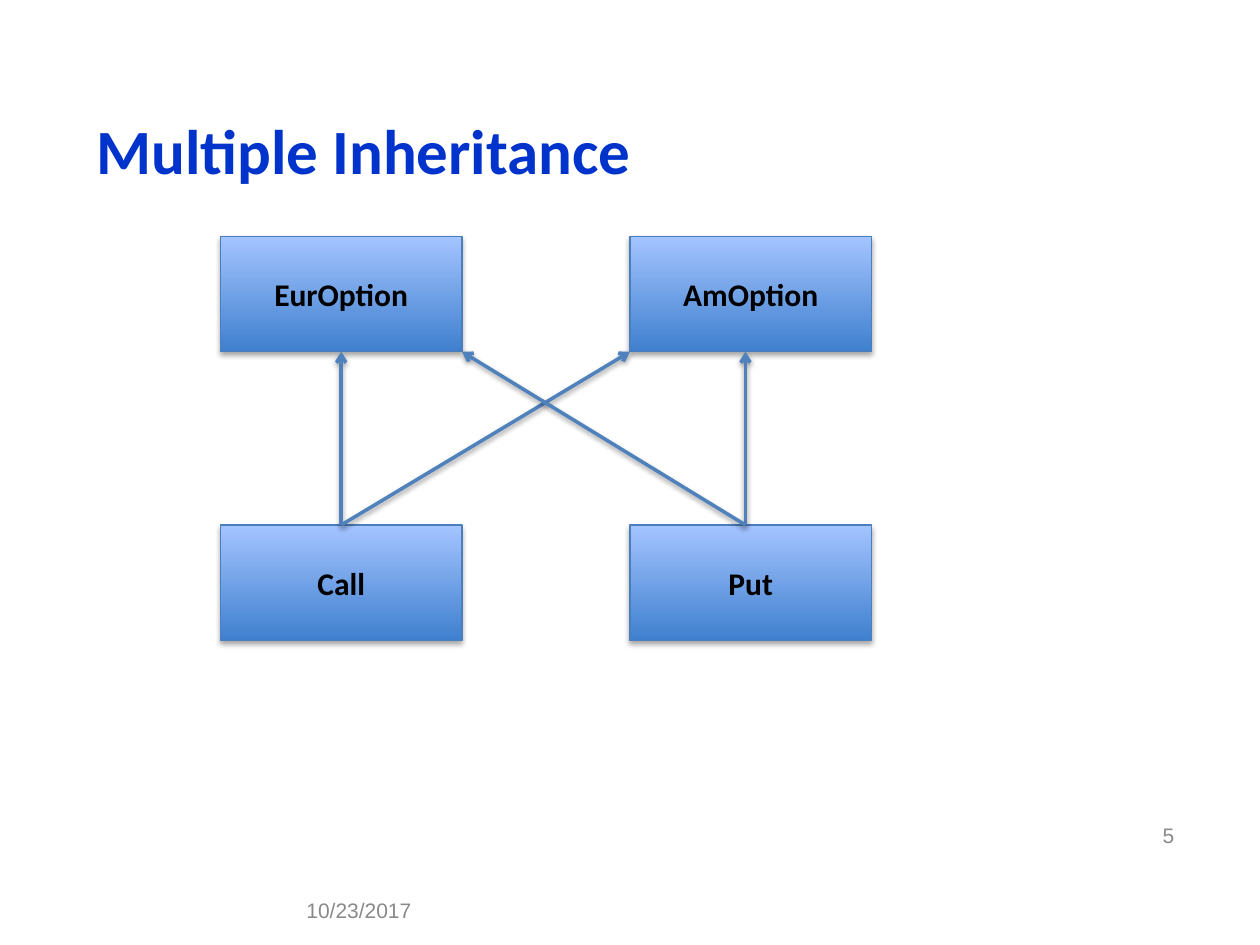
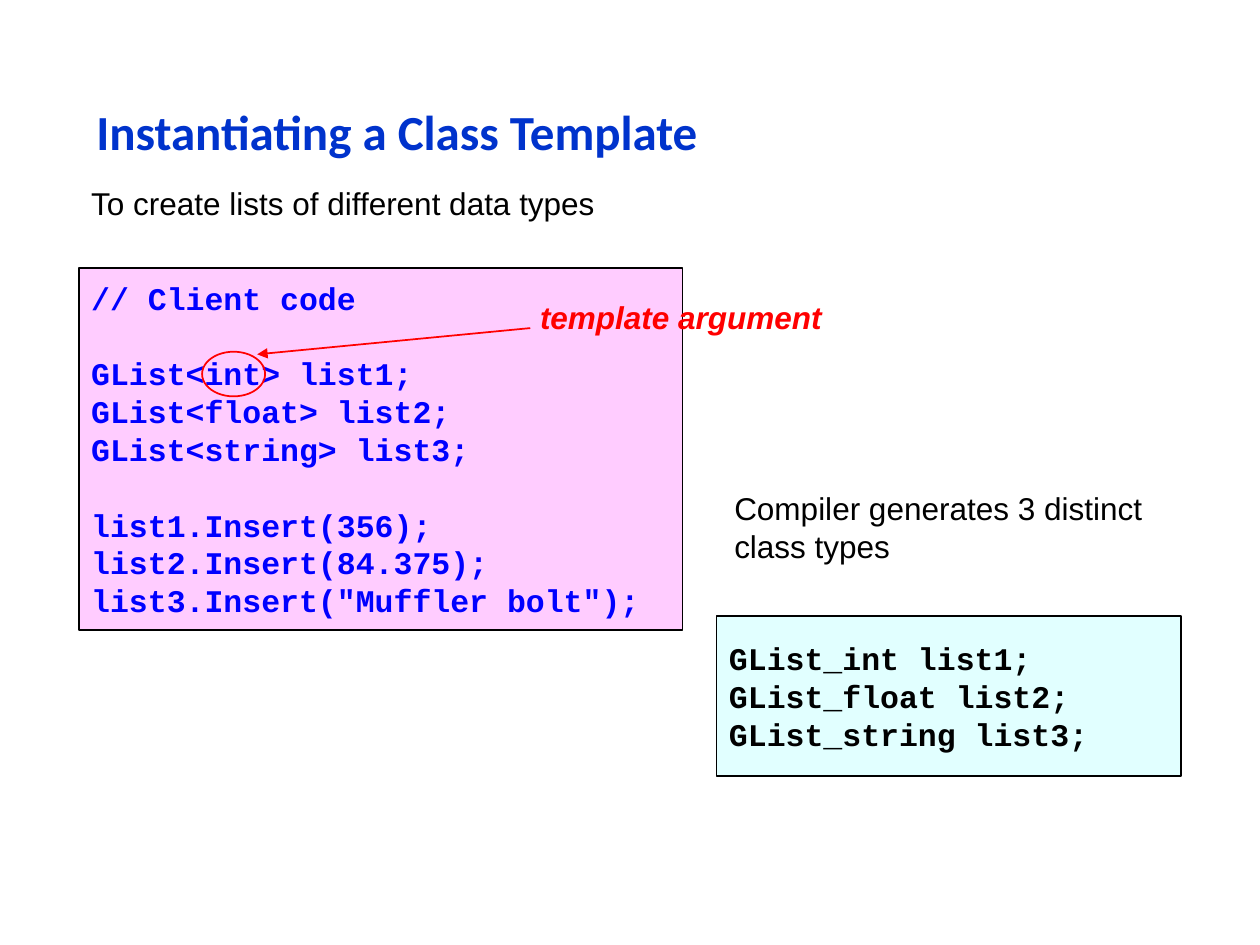
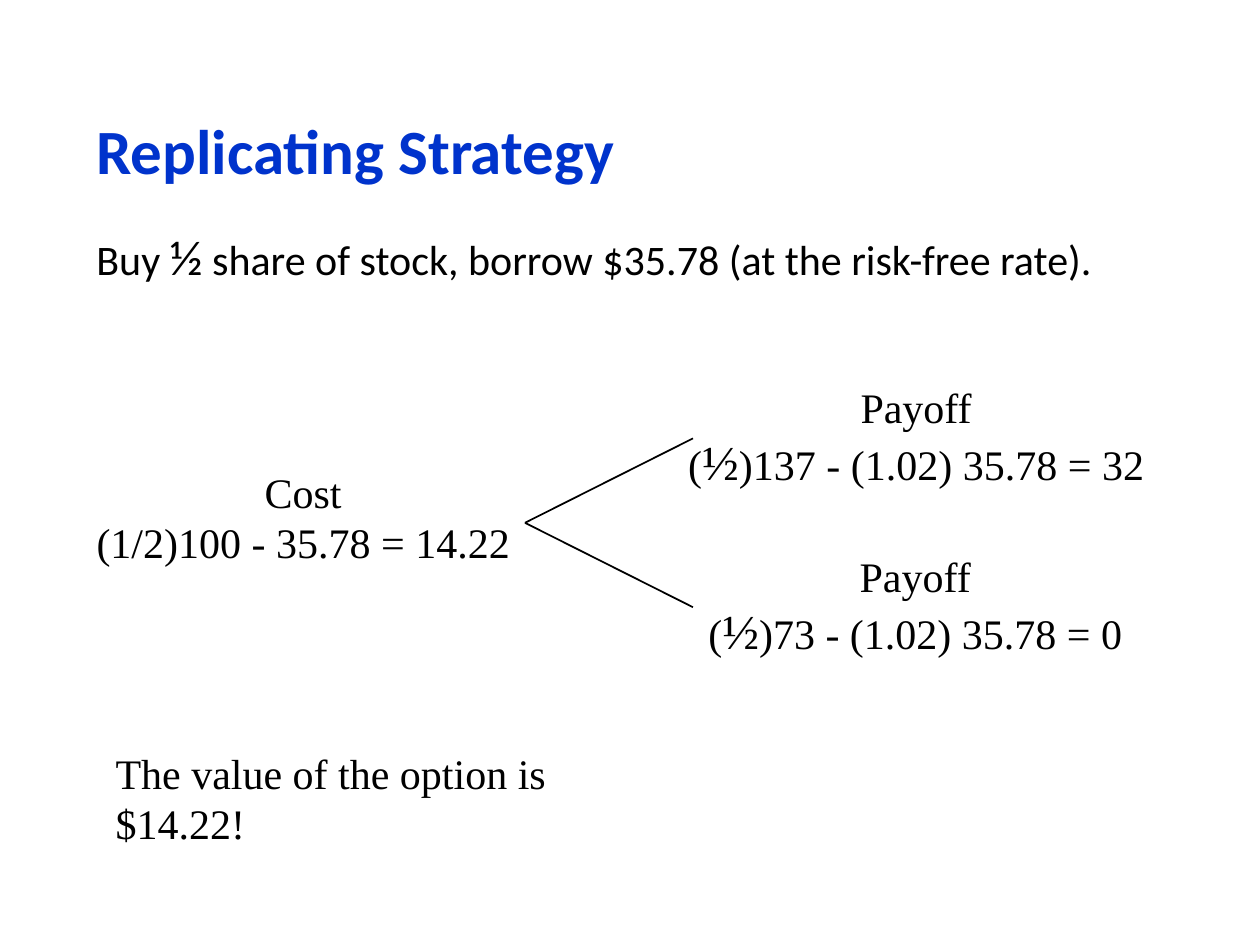
from dataclasses import dataclass, replace
from typing import Any, NamedTuple

import pptx
import pptx.dml.color
import pptx.enum.shapes
import pptx.enum.text
import pptx.oxml
import pptx.oxml.ns
import pptx.util

Pt = pptx.util.Pt
RGBColor = pptx.dml.color.RGBColor
Align = pptx.enum.text.PP_ALIGN
Anchor = pptx.enum.text.MSO_ANCHOR
Form = pptx.enum.shapes.MSO_SHAPE

BLACK = RGBColor(0x00, 0x00, 0x00)
NAVY = RGBColor(0x00, 0x33, 0xCC)
BLUE = RGBColor(0x00, 0x00, 0xFF)
RED = RGBColor(0xFF, 0x00, 0x00)
GREY = RGBColor(0x89, 0x89, 0x89)
PINK = RGBColor(0xFF, 0xCC, 0xFF)
AQUA = RGBColor(0xE1, 0xFF, 0xFF)
STEEL = RGBColor(0x4F, 0x81, 0xBD)
EDGE = RGBColor(0x4B, 0x7E, 0xBC)
DEEP = RGBColor(0x3F, 0x80, 0xCE)
PALE = RGBColor(0xA4, 0xC4, 0xFF)

HALF = "½"
HALF_SIZE = 28
LEAD = 1.2


class Box(NamedTuple):
    """Place and size in points."""

    left: float
    top: float
    width: float
    height: float


class Shade(NamedTuple):
    """Soft shadow that falls straight down."""

    blur: float
    drop: float
    alpha: int


@dataclass(frozen=True)
class Style:
    """Look of a text."""

    name: str
    size: float
    color: RGBColor = BLACK
    bold: bool = False
    italic: bool = False
    fixed: bool = True


@dataclass(frozen=True)
class Label:
    """Text with its frame."""

    text: str
    box: Box
    style: Style
    align: Any = Align.LEFT
    anchor: Any = Anchor.TOP
    wrap: bool = True


@dataclass(frozen=True)
class Panel:
    """Preset shape, with one fill colour, two or none."""

    box: Box
    fills: tuple[RGBColor, ...] = ()
    edge: RGBColor = BLACK
    weight: float = 1
    form: Any = Form.RECTANGLE
    shade: Shade | None = None


@dataclass(frozen=True)
class Link:
    """Straight line, with a head at its end if one is named."""

    start: tuple[float, float]
    end: tuple[float, float]
    color: RGBColor = BLACK
    weight: float = 1
    head: str = ""
    shade: Shade | None = None


TITLE = Style("Calibri", 36, NAVY, bold=True, fixed=False)
SMALL = replace(TITLE, size=28)
BODY = Style("Calibri", 24, fixed=False)
NODE = Style("Calibri", 18, bold=True, fixed=False)
FOOT = Style("Arial", 12, GREY)
NOTE = Style("Arial", 18)
CODE = Style("Courier New", 18, BLUE, bold=True)
SERIF = Style("Times New Roman", 24)

TOP = Box(48, 54, 624, 63)
NODE_SHADE = Shade(3.1, 1.8, 35)
LINK_SHADE = Shade(3.1, 1.6, 38)


def put(item: Any, values: dict[str, Any]) -> None:
    """Set each named value on the item."""
    for key, value in values.items():
        setattr(item, key, value)


def add_xml(parent: Any, tag: str, **values: Any) -> Any:
    """Add a drawing element and return it."""
    child = pptx.oxml.parse_xml(f"<a:{tag} {pptx.oxml.ns.nsdecls('a')}/>")
    for key, value in values.items():
        child.set(key, str(value))
    parent.append(child)
    return child


def cast(effects: Any, shade: Shade | None) -> None:
    """Put the shadow in an effect list."""
    if shade:
        outer = add_xml(effects, "outerShdw", blurRad=Pt(shade.blur),
                        dist=Pt(shade.drop), dir=90 * 60000, rotWithShape=0)
        add_xml(add_xml(outer, "srgbClr", val=BLACK), "alpha", val=shade.alpha * 1000)


def write(frame: Any, label: Label) -> None:
    """Write a label, with a line's gap where its text is broken twice."""
    style = label.style
    put(frame, dict(word_wrap=label.wrap, vertical_anchor=label.anchor))
    rows = [(row, bool(part) and not spot)
            for part, block in enumerate(label.text.split("\n\n"))
            for spot, row in enumerate(block.split("\n"))]
    for spot, (row, gap) in enumerate(rows):
        para = frame.add_paragraph() if spot else frame.paragraphs[0]
        para.alignment = label.align
        if style.fixed:
            para.line_spacing = Pt(LEAD * (HALF_SIZE if HALF in row else style.size))
        if gap:
            para.space_before = Pt(LEAD * style.size)
        for text in filter(None, row.partition(HALF)):
            run = para.add_run()
            run.text = text
            size = HALF_SIZE if text == HALF else style.size
            put(run.font, dict(name=style.name, size=Pt(size),
                               bold=style.bold, italic=style.italic))
            run.font.color.rgb = style.color


def add_label(slide: Any, label: Label) -> None:
    """Add a text box."""
    write(slide.shapes.add_textbox(*map(Pt, label.box)).text_frame, label)


def add_panel(slide: Any, panel: Panel, text: Label | None = None) -> None:
    """Add a shape, with text if given."""
    shape = slide.shapes.add_shape(panel.form, *map(Pt, panel.box))
    shape.shadow.inherit = False
    cast(shape.element.spPr.find(pptx.oxml.ns.qn("a:effectLst")), panel.shade)
    if len(panel.fills) > 1:
        shape.fill.gradient()
        shape.fill.gradient_angle = 90
        for stop, color in zip(shape.fill.gradient_stops, panel.fills):
            stop.color.rgb = color
    elif panel.fills:
        shape.fill.solid()
        shape.fill.fore_color.rgb = panel.fills[0]
    else:
        shape.fill.background()
    shape.line.color.rgb = panel.edge
    shape.line.width = Pt(panel.weight)
    if text:
        write(shape.text_frame, text)


def add_link(slide: Any, link: Link) -> None:
    """Add a line or an arrow."""
    line = slide.shapes.add_connector(
        pptx.enum.shapes.MSO_CONNECTOR.STRAIGHT, *map(Pt, link.start + link.end))
    line.line.color.rgb = link.color
    line.line.width = Pt(link.weight)
    if link.head:
        add_xml(line.line._get_or_add_ln(), "tailEnd", type=link.head)
    cast(add_xml(line.element.spPr, "effectLst"), link.shade)


def add_page(deck: Any, title: str, box: Box = TOP, style: Style = TITLE) -> Any:
    """Add a blank slide with a title."""
    slide = deck.slides.add_slide(deck.slide_layouts[6])
    add_label(slide, Label(title, box, style, anchor=Anchor.MIDDLE))
    return slide


def add_node(slide: Any, name: str, left: float, top: float) -> None:
    """Add a class box of the tree."""
    box = Box(left, top, 138, 66)
    add_panel(slide, Panel(box, (DEEP, PALE), EDGE, 0.75, shade=NODE_SHADE),
              Label(name, box, NODE, Align.CENTER, Anchor.MIDDLE))


def add_code(slide: Any, text: str, box: Box, fill: RGBColor, color: RGBColor) -> None:
    """Add a code panel."""
    add_panel(slide, Panel(box, (fill,)),
              Label(text, box, replace(CODE, color=color), anchor=Anchor.MIDDLE))


def draw_tree(deck: Any) -> None:
    """Draw the classes and their bases."""
    slide = add_page(deck, "Multiple Inheritance")
    add_label(slide, Label("10/23/2017", Box(168, 505.5, 84, 28.8), FOOT,
                           anchor=Anchor.MIDDLE))
    add_label(slide, Label("5", Box(510, 463, 168, 28.8), FOOT,
                           Align.RIGHT, Anchor.MIDDLE))
    names = (("EurOption", "AmOption"), ("Call", "Put"))
    for top, row in zip((135, 300), names):
        for left, name in zip((126, 360), row):
            add_node(slide, name, left, top)
    for start, ends in ((195, (195, 360)), (426, (426, 264))):
        for end in ends:
            add_link(slide, Link((start, 300), (end, 201), STEEL, 2,
                                 "arrow", LINK_SHADE))


def draw_code(deck: Any) -> None:
    """Draw the client code and the types made from it."""
    slide = add_page(deck, "Instantiating a Class Template",
                     Box(48, 48, 618, 53.5), SMALL)
    client = """// Client code

GList<int> list1;
GList<float> list2;
GList<string> list3;

list1.Insert(356);
list2.Insert(84.375);
list3.Insert("Muffler bolt");"""
    types = "GList_int list1;\nGList_float list2;\nGList_string list3;"
    add_code(slide, client, Box(45, 153, 345, 207), PINK, BLUE)
    add_code(slide, types, Box(409.5, 352, 265.5, 91.5), AQUA, BLACK)
    add_panel(slide, Panel(Box(115.5, 201, 36, 25.5), edge=RED, form=Form.OVAL))
    add_link(slide, Link((303, 187.5), (147, 202.5), RED, head="triangle"))
    hint = replace(NOTE, color=RED, bold=True, italic=True)
    for label in (
        Label("To create lists of different data types",
              Box(45, 101.5, 475, 36), NOTE),
        Label("template argument", Box(301.5, 166.5, 179, 29), hint, wrap=False),
        Label("Compiler generates 3 distinct class types",
              Box(412.5, 276, 262, 65), NOTE),
    ):
        add_label(slide, label)


def draw_payoff(deck: Any) -> None:
    """Draw the cost and both payoffs."""
    slide = add_page(deck, "Replicating Strategy")
    add_label(slide, Label(
        "Buy ½ share of stock, borrow $35.78 (at the risk-free rate).",
        Box(48, 126, 624, 59), BODY))
    for end in (250.5, 347):
        add_link(slide, Link((300, 298.75), (396, end)))
    for text, box in (
        ("Cost\n(1/2)100 - 35.78 = 14.22", Box(48, 263, 250.5, 65)),
        ("Payoff\n(½)137 - (1.02) 35.78 = 32", Box(386, 214.5, 275, 70)),
        ("Payoff\n(½)73 - (1.02) 35.78 = 0", Box(397.5, 311, 251, 70)),
    ):
        add_label(slide, Label(text, box, SERIF, Align.CENTER, wrap=False))
    add_label(slide, Label("The value of the option is $14.22!",
                           Box(59, 423.5, 340, 36), SERIF, wrap=False))


def main() -> None:
    """Build and save the deck."""
    deck = pptx.Presentation()
    put(deck, dict(slide_width=Pt(720), slide_height=Pt(540)))
    for draw in (draw_tree, draw_code, draw_payoff):
        draw(deck)
    deck.save("out.pptx")


if __name__ == "__main__":
    main()
